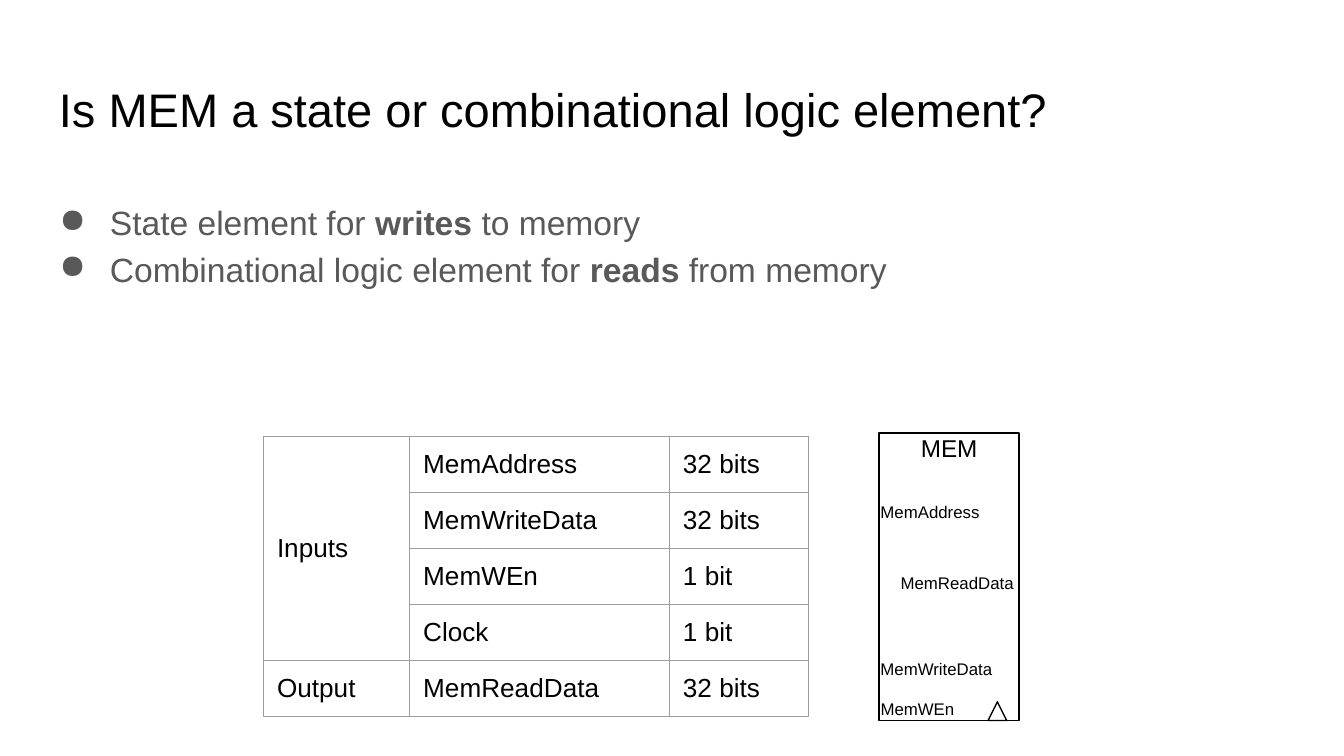
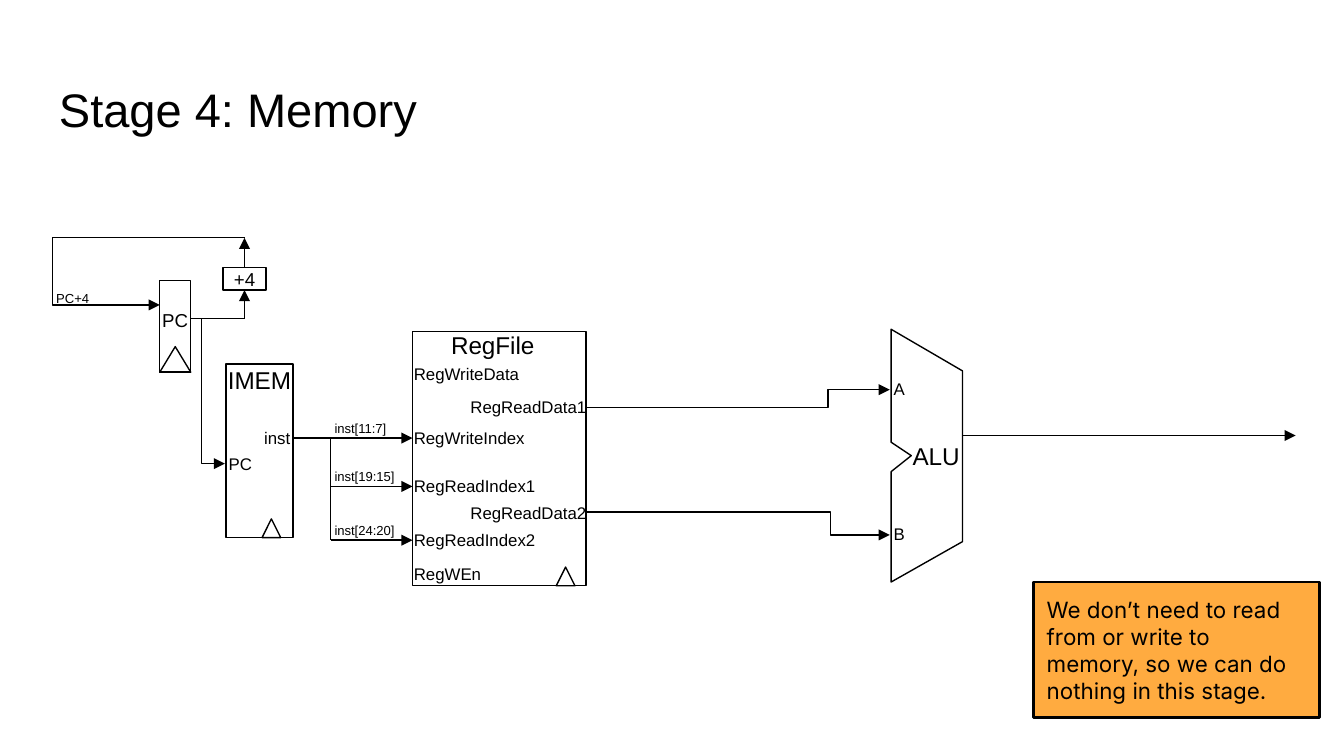
from dataclasses import dataclass

import pptx
import pptx.dml.color
import pptx.enum.shapes
import pptx.enum.text
import pptx.oxml
import pptx.oxml.ns
import pptx.util

Pt = pptx.util.Pt
Align = pptx.enum.text.PP_ALIGN
Anchor = pptx.enum.text.MSO_ANCHOR
Shape = pptx.enum.shapes.MSO_SHAPE
NAMESPACE = pptx.oxml.ns.nsdecls("a")


@dataclass(frozen=True)
class Theme:
    font: str = "Arial"
    note_font: str = "Inter"
    ink: str = "000000"
    body: str = "595959"
    grid: str = "9E9E9E"
    note: str = "FFAB40"
    title_size: float = 25.2
    body_size: float = 18
    table_size: float = 14
    block_size: float = 13
    note_size: float = 12
    part_size: float = 10
    port_size: float = 9
    wire_size: float = 7
    line: float = 0.75
    note_line: float = 1.5


THEME = Theme()


@dataclass(frozen=True)
class Port:
    """A pin name inside a block, held to its left or right edge."""
    name: str
    top: float
    width: float
    right: bool = False
    gap: float = 0.7


def color(value):
    return pptx.dml.color.RGBColor.from_string(value)


def format_text(frame, text, size=THEME.port_size, font=THEME.font, ink=THEME.ink,
                align=Align.LEFT, anchor=Anchor.TOP, insets=(0, 0, 0, 0),
                spacing=None, bullet=None):
    """Fill a frame, one paragraph per line; **marks** set bold runs."""
    frame.word_wrap = True
    frame.vertical_anchor = anchor
    (frame.margin_left, frame.margin_top,
     frame.margin_right, frame.margin_bottom) = map(Pt, insets)
    for index, line in enumerate(text.split("\n")):
        paragraph = frame.add_paragraph() if index else frame.paragraphs[0]
        paragraph.alignment = align
        if spacing:
            paragraph.line_spacing = spacing
        if bullet:
            properties = paragraph._p.get_or_add_pPr()
            properties.set("marL", str(Pt(36)))
            properties.set("indent", str(-Pt(27)))
            for element in (f'<a:buClr {NAMESPACE}><a:srgbClr val="{ink}"/></a:buClr>',
                            f'<a:buChar {NAMESPACE} char="{bullet}"/>'):
                properties.append(pptx.oxml.parse_xml(element))
        for position, part in enumerate(line.split("**")):
            if part:
                run = paragraph.add_run()
                run.text = part
                run.font.name = font
                run.font.size = Pt(size)
                run.font.bold = position % 2 == 1
                run.font.color.rgb = color(ink)


def add_text(slide, box, text, **style):
    format_text(slide.shapes.add_textbox(*map(Pt, box)).text_frame, text, **style)


def style_line(shape, arrow=False, width=THEME.line):
    shape.line.color.rgb = color(THEME.ink)
    shape.line.width = Pt(width)
    if arrow:
        shape.line._get_or_add_ln().append(
            pptx.oxml.parse_xml(f'<a:tailEnd {NAMESPACE} type="triangle"/>'))


def add_outline(slide, kind, box, fill=None, width=THEME.line):
    shape = slide.shapes.add_shape(kind, *map(Pt, box))
    shape.shadow.inherit = False
    if fill:
        shape.fill.solid()
        shape.fill.fore_color.rgb = color(fill)
    else:
        shape.fill.background()
    style_line(shape, width=width)
    return shape


def add_path(slide, left, top, points, close=False, arrow=False):
    """Draw a polyline through points measured from (left, top)."""
    start, *rest = [(Pt(left + x), Pt(top + y)) for x, y in points]
    builder = slide.shapes.build_freeform(*start)
    builder.add_line_segments(rest, close=close)
    shape = builder.convert_to_shape()
    shape.shadow.inherit = False
    shape.fill.background()
    style_line(shape, arrow)


def add_wire(slide, left, top, start, end, arrow=False):
    """Draw a straight wire between points measured from (left, top)."""
    ends = [Pt(value) for x, y in (start, end) for value in (left + x, top + y)]
    wire = slide.shapes.add_connector(pptx.enum.shapes.MSO_CONNECTOR.STRAIGHT, *ends)
    style_line(wire, arrow)
    wire._element.spPr.append(pptx.oxml.parse_xml(f"<a:effectLst {NAMESPACE}/>"))


def add_block(slide, box, title, ports, clock_left, title_shift=0, title_inset=0):
    """Draw a hardware block with its name, pins and clock mark."""
    left, top, width, height = box
    add_outline(slide, Shape.RECTANGLE, box)
    add_text(slide, (left, top + title_shift, width, 16), title, size=THEME.block_size,
             align=Align.CENTER, insets=(0, 0, title_inset, 0))
    for port in ports:
        x = left + (width - port.gap - port.width if port.right else port.gap)
        add_text(slide, (x, top + port.top, port.width, 10.8), port.name,
                 align=Align.RIGHT if port.right else Align.LEFT)
    add_outline(slide, Shape.ISOSCELES_TRIANGLE,
                (left + clock_left, top + height - 10, 10, 10))


def add_title(slide, text):
    add_text(slide, (24.5, 35.3, 671, 45.2), text, size=THEME.title_size,
             anchor=Anchor.BOTTOM, insets=(7.2,) * 4)


def add_signal_table(slide, left, top):
    rows = [("Inputs", "MemAddress", "32 bits"),
            ("", "MemWriteData", "32 bits"),
            ("", "MemWEn", "1 bit"),
            ("", "Clock", "1 bit"),
            ("Output", "MemReadData", "32 bits")]
    widths = (78.3, 139.2, 74.3)
    row_height = 30
    table = slide.shapes.add_table(len(rows), len(widths), Pt(left), Pt(top),
                                   Pt(sum(widths)), Pt(row_height * len(rows))).table
    table.first_row = table.horz_banding = False
    for column, width in zip(table.columns, widths):
        column.width = Pt(width)
    for row, values in enumerate(rows):
        table.rows[row].height = Pt(row_height)
        for column, value in enumerate(values):
            cell = table.cell(row, column)
            format_text(cell.text_frame, value, size=THEME.table_size)
            cell.vertical_anchor = Anchor.MIDDLE
            cell.margin_left = cell.margin_right = Pt(7.2)
            cell.margin_top = cell.margin_bottom = Pt(3.6)
            properties = cell._tc.get_or_add_tcPr()
            for side in "LRTB":
                properties.append(pptx.oxml.parse_xml(
                    f'<a:ln{side} {NAMESPACE} w="{Pt(THEME.line)}"><a:solidFill>'
                    f'<a:srgbClr val="{THEME.grid}"/></a:solidFill></a:ln{side}>'))
            cell.fill.background()
    table.cell(0, 0).merge(table.cell(3, 0))


def add_program_counter(slide, left, top):
    def place(x, y, width, height):
        return left + x, top + y, width, height

    centred = dict(size=THEME.part_size, align=Align.CENTER, anchor=Anchor.MIDDLE)
    adder = place(91.5, 15.8, 23, 12.2)
    add_outline(slide, Shape.RECTANGLE, adder)
    add_text(slide, adder, "+4", **centred)
    add_outline(slide, Shape.RECTANGLE, place(57.6, 23, 16.6, 49))
    add_outline(slide, Shape.ISOSCELES_TRIANGLE, place(57.6, 58.3, 16.6, 13.7))
    add_text(slide, place(58.3, 38.2, 15, 12.2), "PC", **centred)
    add_text(slide, place(0.7, 28, 20.5, 8.6), "PC+4",
             size=THEME.wire_size, align=Align.CENTER)
    add_wire(slide, left, top, (0, 0), (103, 0))
    add_wire(slide, left, top, (74.2, 43.4), (103, 43.4))
    add_wire(slide, left, top, (103, 43.4), (103, 28), arrow=True)
    add_wire(slide, left, top, (103, 15.8), (103, 0), arrow=True)
    add_path(slide, left, top, [(0, 0), (0, 36), (57.6, 36)], arrow=True)
    add_path(slide, left, top, [(79.9, 43.4), (79.9, 121), (92.5, 121)], arrow=True)


def add_instruction_bus(slide, left, top):
    """Split the instruction into the three register index fields."""
    spine, end = 20.2, 64
    fields = [("inst[11:7]", 0), ("inst[19:15]", 25.9), ("inst[24:20]", 54.7)]
    add_wire(slide, left, top, (spine, 0), (spine, fields[-1][1]))
    for name, y in fields:
        add_wire(slide, left, top, (spine if y else 0, y), (end, y), arrow=True)
        add_text(slide, (left + spine + 2, top + y - 9.4, 35, 8.6), name,
                 size=THEME.wire_size)


def add_alu(slide, left, top):
    """Draw the ALU with its two operand wires and its result wire."""
    width = 38.2
    add_path(slide, left, top, [(0, 60.5), (0, 0), (width, 22.3), (width, 113.8),
                                (0, 135.4), (0, 76.3), (10.8, 67.7)], close=True)
    add_text(slide, (left + 10.8, top + 59.8, 26.6, 15.8), "ALU",
             size=THEME.block_size, align=Align.CENTER)
    for name, source, bend, target in (("A", 41.8, -33.8, 32.4),
                                       ("B", 97.9, -32.4, 110.2)):
        add_text(slide, (left + 1.4, top + target - 5.8, 7.2, 10.8), name)
        add_path(slide, left, top, [(-162.8, source), (bend, source),
                                    (bend, target), (-0.7, target)], arrow=True)
    add_wire(slide, left, top, (width, 56.9), (216.7, 56.9), arrow=True)


def add_note(slide, box, text):
    shape = add_outline(slide, Shape.RECTANGLE, box, THEME.note, THEME.note_line)
    format_text(shape.text_frame, text, size=THEME.note_size, font=THEME.note_font,
                anchor=Anchor.MIDDLE, insets=(7.2,) * 4)


def build_memory_question(slide):
    add_title(slide, "Is MEM a state or combinational logic element?")
    add_text(slide, (15.8, 98, 671, 150.5),
             "State element for **writes** to memory\n"
             "Combinational logic element for **reads** from memory",
             size=THEME.body_size, ink=THEME.body, insets=(7.2,) * 4,
             spacing=1.15, bullet="●")
    add_signal_table(slide, 141.2, 234)
    add_block(slide, (471, 232, 75, 154), "MEM",
              [Port("MemAddress", 36.7, 55.5),
               Port("MemReadData", 75, 64, right=True, gap=3),
               Port("MemWriteData", 121, 67),
               Port("MemWEn", 142.6, 43)], clock_left=58.3)


def build_memory_stage(slide):
    add_title(slide, "Stage 4: Memory")
    add_program_counter(slide, 28, 127.4)
    add_block(slide, (121, 195, 36, 93), "IMEM",
              [Port("inst", 34, 19.5, right=True, gap=1.5),
               Port("PC", 48.3, 15, gap=1.5)], clock_left=19.4, title_shift=0.7)
    add_instruction_bus(slide, 157, 234.7)
    add_block(slide, (221, 177.8, 93, 136), "RegFile",
              [Port("RegWriteData", 17.3, 57),
               Port("RegReadData1", 34.6, 63, right=True, gap=0),
               Port("RegWriteIndex", 51.2, 61.5),
               Port("RegReadIndex1", 77, 65.5),
               Port("RegReadData2", 91.5, 63, right=True, gap=0),
               Port("RegReadIndex2", 105.8, 65.5),
               Port("RegWEn", 124, 37)],
              clock_left=77, title_shift=-0.7, title_inset=7.2)
    add_alu(slide, 477.4, 176.4)
    add_note(slide, (553.7, 311.8, 153.4, 72.7),
             "We don’t need to read from or write to memory, "
             "so we can do nothing in this stage.")


def main():
    presentation = pptx.Presentation()
    presentation.slide_width, presentation.slide_height = Pt(720), Pt(405)
    blank = presentation.slide_layouts[6]
    for build in (build_memory_question, build_memory_stage):
        build(presentation.slides.add_slide(blank))
    presentation.save("out.pptx")


if __name__ == "__main__":
    main()
